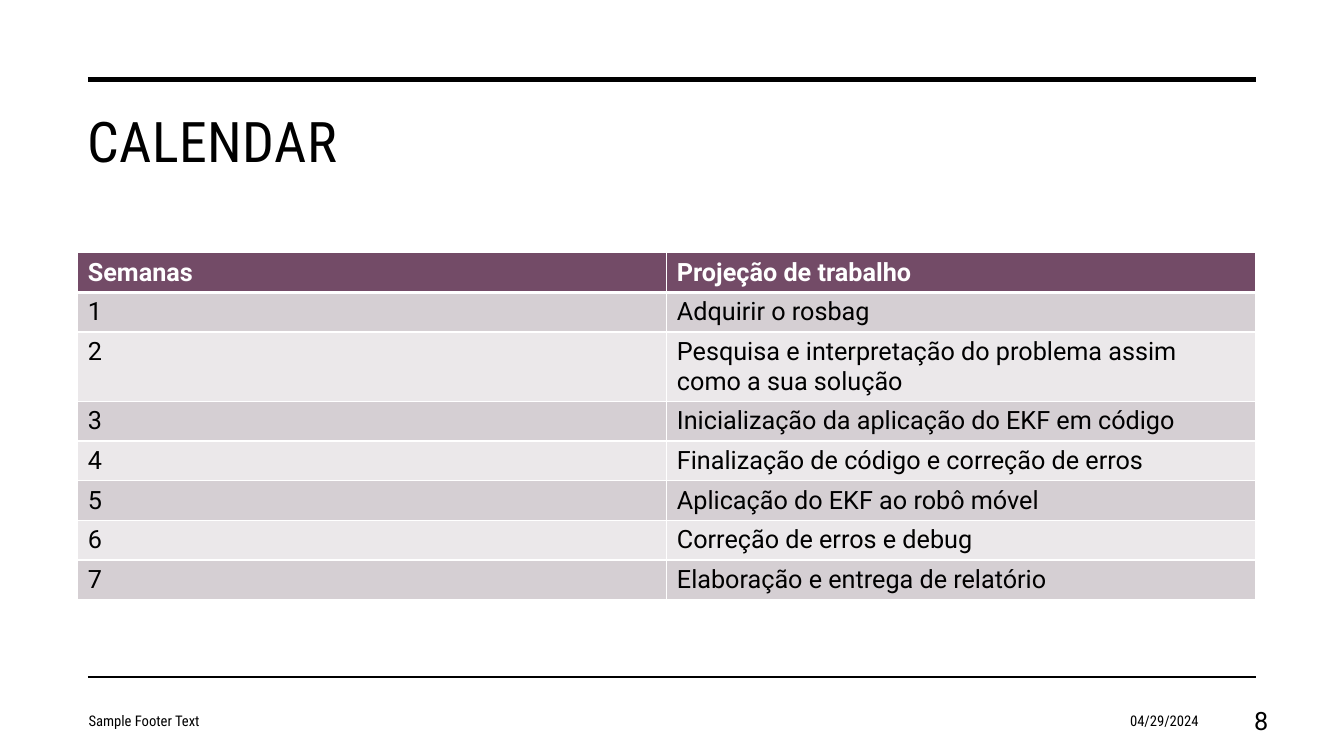
from dataclasses import dataclass

from lxml.etree import SubElement
from pptx import Presentation
from pptx.dml.color import RGBColor
from pptx.enum.shapes import MSO_CONNECTOR as Connector
from pptx.enum.text import MSO_ANCHOR as Anchor, MSO_AUTO_SIZE as AutoSize, PP_ALIGN as Align
from pptx.oxml.ns import qn
from pptx.slide import Slide
from pptx.table import _Cell as Cell
from pptx.text.text import _Paragraph as Paragraph
from pptx.util import Pt


@dataclass(frozen=True)
class Theme:
    ink: str = "000000"
    paper: str = "FFFFFF"
    header: str = "734B67"
    odd_row: str = "D5CFD3"
    even_row: str = "EBE8EA"
    body_font: str = "Roboto"
    condensed_font: str = "Roboto Condensed"
    title_size: float = 40
    body_size: float = 18
    footer_size: float = 10.5


@dataclass(frozen=True)
class Rule:
    y: float
    weight: float


@dataclass(frozen=True)
class FooterItem:
    text: str
    left: float
    width: float
    align: Align
    font: str
    size: float


@dataclass(frozen=True)
class Week:
    number: str
    work: str
    lines: int = 1


THEME = Theme()
LEFT, WIDTH = 55.6, 841.6
RULE_LEFT, RULE_RIGHT = 62.8, 897.2
TABLE_TOP = 180.5
LINE_HEIGHT, CELL_PADDING = 21.1, 7.2
FOOTER_TOP, FOOTER_HEIGHT = 500.4, 28.8
GRID_WEIGHT, HEADER_WEIGHT = 0.96, 3

RULES = [Rule(56.9, 3.5), Rule(483.6, 1)]
FOOTER = [
    FooterItem("04/29/2024", 658.8, 204.5, Align.RIGHT, THEME.condensed_font, THEME.footer_size),
    FooterItem("Sample Footer Text", 56.2, 357.1, Align.LEFT, THEME.condensed_font, THEME.footer_size),
    FooterItem("8", 859.7, 53.3, Align.RIGHT, THEME.body_font, THEME.body_size),
]
CALENDAR = [
    Week("Semanas", "Projeção de trabalho"),
    Week("1", "Adquirir o rosbag"),
    Week("2", "Pesquisa e interpretação do problema assim como a sua solução", 2),
    Week("3", "Inicialização da aplicação do EKF em código"),
    Week("4", "Finalização de código e correção de erros"),
    Week("5", "Aplicação do EKF ao robô móvel"),
    Week("6", "Correção de erros e debug"),
    Week("7", "Elaboração e entrega de relatório"),
]


def style(paragraph: Paragraph, font: str, size: float, color: str = THEME.ink,
          bold: bool = False, align: Align = Align.LEFT) -> None:
    paragraph.alignment = align
    paragraph.font.name = font
    paragraph.font.size = Pt(size)
    paragraph.font.bold = bold
    paragraph.font.color.rgb = RGBColor.from_string(color)


def draw_rule(slide: Slide, rule: Rule) -> None:
    line = slide.shapes.add_connector(
        Connector.STRAIGHT, Pt(RULE_LEFT), Pt(rule.y), Pt(RULE_RIGHT), Pt(rule.y))
    line.line.color.rgb = RGBColor.from_string(THEME.ink)
    line.line.width = Pt(rule.weight)
    SubElement(line.element.spPr, qn("a:effectLst"))


def draw_title(slide: Slide, text: str) -> None:
    title = slide.shapes.title
    title.left, title.top, title.width, title.height = Pt(LEFT), Pt(72.7), Pt(WIDTH), Pt(108)
    frame = title.text_frame
    frame.text = text
    frame.auto_size = AutoSize.NONE
    frame.vertical_anchor = Anchor.TOP
    style(frame.paragraphs[0], THEME.condensed_font, THEME.title_size)
    for properties in title.element.iter(qn("a:defRPr")):
        properties.set("spc", "30")


def draw_borders(cell: Cell, bottom_weight: float) -> None:
    properties = cell._tc.get_or_add_tcPr()
    weights = {"lnL": GRID_WEIGHT, "lnR": GRID_WEIGHT, "lnT": GRID_WEIGHT, "lnB": bottom_weight}
    for side, weight in weights.items():
        border = SubElement(properties, qn(f"a:{side}"), w=str(Pt(weight)))
        fill = SubElement(border, qn("a:solidFill"))
        SubElement(fill, qn("a:srgbClr"), val=THEME.paper)


def draw_calendar(slide: Slide, weeks: list[Week]) -> None:
    heights = [week.lines * LINE_HEIGHT + CELL_PADDING for week in weeks]
    calendar = slide.shapes.add_table(
        len(weeks), 2, Pt(LEFT), Pt(TABLE_TOP), Pt(WIDTH), Pt(sum(heights))).table
    for index, (week, height) in enumerate(zip(weeks, heights)):
        calendar.rows[index].height = Pt(height)
        is_header = index == 0
        band = THEME.odd_row if index % 2 else THEME.even_row
        for column, text in enumerate((week.number, week.work)):
            cell = calendar.cell(index, column)
            cell.text = text
            draw_borders(cell, HEADER_WEIGHT if is_header else GRID_WEIGHT)
            cell.fill.solid()
            cell.fill.fore_color.rgb = RGBColor.from_string(THEME.header if is_header else band)
            style(cell.text_frame.paragraphs[0], THEME.body_font, THEME.body_size,
                  THEME.paper if is_header else THEME.ink, bold=is_header)


def draw_footer_item(slide: Slide, item: FooterItem) -> None:
    frame = slide.shapes.add_textbox(
        Pt(item.left), Pt(FOOTER_TOP), Pt(item.width), Pt(FOOTER_HEIGHT)).text_frame
    frame.word_wrap = True
    frame.vertical_anchor = Anchor.MIDDLE
    frame.text = item.text
    style(frame.paragraphs[0], item.font, item.size, align=item.align)


def main() -> None:
    deck = Presentation()
    deck.slide_width, deck.slide_height = Pt(960), Pt(540)
    slide = deck.slides.add_slide(deck.slide_layouts[5])
    for rule in RULES:
        draw_rule(slide, rule)
    draw_title(slide, "CALENDAR")
    draw_calendar(slide, CALENDAR)
    for item in FOOTER:
        draw_footer_item(slide, item)
    deck.save("out.pptx")


if __name__ == "__main__":
    main()
